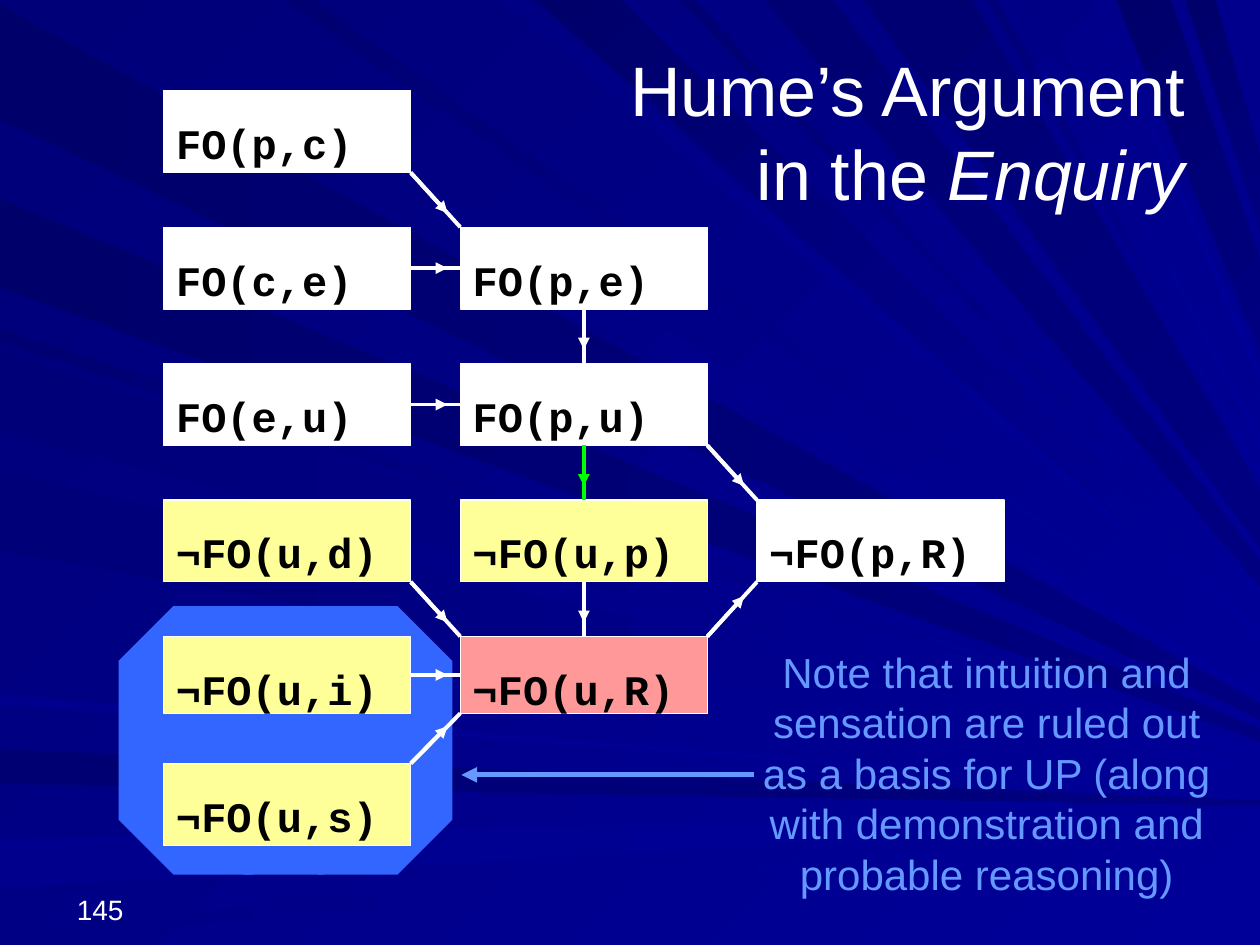
"""Build the slide on Hume's argument: a grid of linked formulas over a field of blue rays."""
from lxml.etree import SubElement
from pptx import Presentation
from pptx.dml.color import RGBColor
from pptx.enum.shapes import MSO_CONNECTOR as Link, MSO_SHAPE as Shape
from pptx.enum.text import MSO_ANCHOR as Anchor, PP_ALIGN as Align
from pptx.oxml.ns import qn
from pptx.util import Cm, Pt

COLORS = {
    "white": "FFFFFF", "black": "000000", "yellow": "FFFF99", "pink": "FF9999",
    "green": "00FF00", "royal": "3366FF", "sky": "6699FF",
    "night": "00006B", "dark": "000073", "deep": "000078", "navy": "000080",
    "blue": "000085", "bright": "00008C", "light": "000099",
}

WIDTH, HEIGHT = 25.4, 19.05
HUB_X, HUB_Y = 29.2, 16.3
LEFT_RAYS = [
    (0.1, 2.4, "night", "navy"), (4, 5.8, "night", "navy"), (6.6, 6.9, "dark", "light"),
    (7.1, 8.7, "deep", "light"), (9.5, 11.1, "deep", "light"), (14, 14.2, "bright", "light"),
    (15.1, 15.8, "dark", "navy"), (16.9, 17.9, "bright", "light"), (18.7, 19, "blue", "light"),
]
TOP_RAYS = [
    (0.7, 2.6, "deep", "light"), (5.7, 6.3, "dark", "light"), (10.1, 10.6, "blue", "light"),
    (10.8, 12.5, "night", "light"), (13.7, 14, "dark", "light"), (15.4, 16.8, "dark", "navy"),
    (17.4, 19.6, "dark", "navy"), (19.9, 20.1, "deep", "light"), (20.7, 20.9, "blue", "light"),
    (22, 22.2, "bright", "light"), (22.5, 23.6, "night", "navy"), (23.9, 24.5, "night", "navy"),
]

GRID = [
    ["FO(p,c)"],
    ["FO(c,e)", "FO(p,e)"],
    ["FO(e,u)", "FO(p,u)"],
    ["¬FO(u,d)", "¬FO(u,p)", "¬FO(p,R)"],
    ["¬FO(u,i)", "¬FO(u,R)"],
    ["¬FO(u,s)"],
]
CELLS = {text: (column, row) for row, line in enumerate(GRID) for column, text in enumerate(line)}
SPECIAL_FILLS = {"¬FO(u,R)": "pink", "¬FO(p,R)": "white"}
ROW_TOPS = [1.83, 4.58, 7.33, 10.08, 12.83, 15.39]
BOX_HEIGHT, SHORT_HEIGHT, SHORT_ROW = 1.65, 1.55, 4
GRID_LEFT, COLUMN_STEP, BOX_WIDTH = 3.3, 5.98, 4.98
STEPS = [
    ("FO(p,c)", "FO(p,e)", "white"), ("FO(c,e)", "FO(p,e)", "white"),
    ("FO(p,e)", "FO(p,u)", "white"), ("FO(e,u)", "FO(p,u)", "white"),
    ("FO(p,u)", "¬FO(u,p)", "green"), ("FO(p,u)", "¬FO(p,R)", "white"),
    ("¬FO(u,d)", "¬FO(u,R)", "white"), ("¬FO(u,i)", "¬FO(u,R)", "white"),
    ("¬FO(u,s)", "¬FO(u,R)", "white"), ("¬FO(u,p)", "¬FO(u,R)", "white"),
    ("¬FO(u,R)", "¬FO(p,R)", "white"),
]
ARROW_REACH = 0.74
OCTAGON_LEFTS = [5.31, 2.39, 3.81]

NOTE = ("Note that intuition and sensation are ruled out as a basis for UP "
        "(along with demonstration and probable reasoning)")
TEXTS = [
    ((1.3, 17.53, 5.92, 1.27), Anchor.BOTTOM, Align.LEFT, 16, "white", [("145", False)]),
    ((11.51, 0.76, 12.62, 3.76), Anchor.MIDDLE, Align.RIGHT, 40, "white",
     [("Hume’s Argument in the ", False), ("Enquiry", True)]),
    ((15.09, 12.73, 9.6, 5.69), Anchor.MIDDLE, Align.CENTER, 24, "sky", [(NOTE, False)]),
]


def rgb(name):
    return RGBColor.from_string(COLORS[name])


def paint(fill, start, end, angle=0):
    if start == end:
        fill.solid()
        fill.fore_color.rgb = rgb(start)
        return
    fill.gradient()
    fill.gradient_angle = -angle % 360
    for stop, name in zip(fill.gradient_stops, (start, end)):
        stop.color.rgb = rgb(name)


def right_edge_point(x, y):
    return WIDTH, y + (HUB_Y - y) * (WIDTH - x) / (HUB_X - x)


def add_ray(slide, first, second, start, end, angle):
    corners = [first, second, right_edge_point(*second), right_edge_point(*first)]
    points = [(Cm(x), Cm(y)) for x, y in corners]
    builder = slide.shapes.build_freeform(*points[0])
    builder.add_line_segments(points[1:], close=True)
    ray = builder.convert_to_shape()
    ray.shadow.inherit = False
    ray.line.fill.background()
    paint(ray.fill, start, end, angle)


def add_preset(slide, kind, place, color):
    shape = slide.shapes.add_shape(kind, *map(Cm, place))
    shape.shadow.inherit = False
    paint(shape.fill, color, color)
    shape.line.fill.background()
    return shape


def write(para, text, font, size, color, bold=False, italic=False):
    span = para.add_run()
    span.text = text
    span.font.name, span.font.size = font, Pt(size)
    span.font.bold, span.font.italic = bold, italic
    span.font.color.rgb = rgb(color)


def box_place(text):
    column, row = CELLS[text]
    height = SHORT_HEIGHT if row == SHORT_ROW else BOX_HEIGHT
    return GRID_LEFT + column * COLUMN_STEP, ROW_TOPS[row], BOX_WIDTH, height


def add_formula(slide, text):
    color = SPECIAL_FILLS.get(text, "yellow" if text.startswith("¬") else "white")
    box = add_preset(slide, Shape.RECTANGLE, box_place(text), color)
    box.line.color.rgb = rgb("white")
    box.line.width = Pt(0.75)
    frame = box.text_frame
    frame.vertical_anchor = Anchor.TOP
    frame.margin_top = Cm(0.34)
    para = frame.paragraphs[0]
    para.alignment = Align.LEFT
    para.line_spacing = 1.2
    write(para, text, "Courier New", 24, "black", bold=True)


def add_line(slide, start, end, color, width, arrow=False):
    line = slide.shapes.add_connector(Link.STRAIGHT, *map(Cm, (*start, *end)))
    line.line.color.rgb = rgb(color)
    line.line.width = Pt(width)
    if arrow:
        SubElement(line.line._get_or_add_ln(), qn("a:tailEnd"), type="triangle")
    SubElement(line._element.spPr, qn("a:effectLst"))


def box_point(text, across, down):
    left, top, width, height = box_place(text)
    return left + across * width, top + down * height


def add_step(slide, source, target, color):
    (column, row), (next_column, next_row) = CELLS[source], CELLS[target]
    across = 0.5 if column == next_column else 1
    down = 0.5 if row == next_row else int(next_row > row)
    start = box_point(source, across, down)
    end = box_point(target, 1 - across, 1 - down)
    tip = [a + ARROW_REACH * (b - a) for a, b in zip(start, end)]
    add_line(slide, start, end, color, 2.25)
    add_line(slide, start, tip, color, 2.25, arrow=True)


def add_text(slide, place, anchor, align, size, color, runs):
    frame = slide.shapes.add_textbox(*map(Cm, place)).text_frame
    frame.word_wrap = True
    frame.vertical_anchor = anchor
    para = frame.paragraphs[0]
    para.alignment = align
    for text, italic in runs:
        write(para, text, "Arial", size, color, italic=italic)


def main():
    deck = Presentation()
    deck.slide_width, deck.slide_height = Cm(WIDTH), Cm(HEIGHT)
    slide = deck.slides.add_slide(deck.slide_layouts[6])
    paint(slide.background.fill, "deep", "light", 45)
    for upper, lower, start, end in LEFT_RAYS:
        add_ray(slide, (0, upper), (0, lower), start, end, 0)
    for near, far, start, end in TOP_RAYS:
        add_ray(slide, (near, 0), (far, 0), start, end, 45)
    for left in OCTAGON_LEFTS:
        octagon = add_preset(slide, Shape.OCTAGON, (left, 12.22, 3.81, 5.41), "royal")
        octagon.adjustments[0] = 0.29
    for text in CELLS:
        add_formula(slide, text)
    for step in STEPS:
        add_step(slide, *step)
    add_line(slide, (15.19, 15.62), (9.3, 15.62), "sky", 3, arrow=True)
    for text in TEXTS:
        add_text(slide, *text)
    deck.save("out.pptx")


if __name__ == "__main__":
    main()
